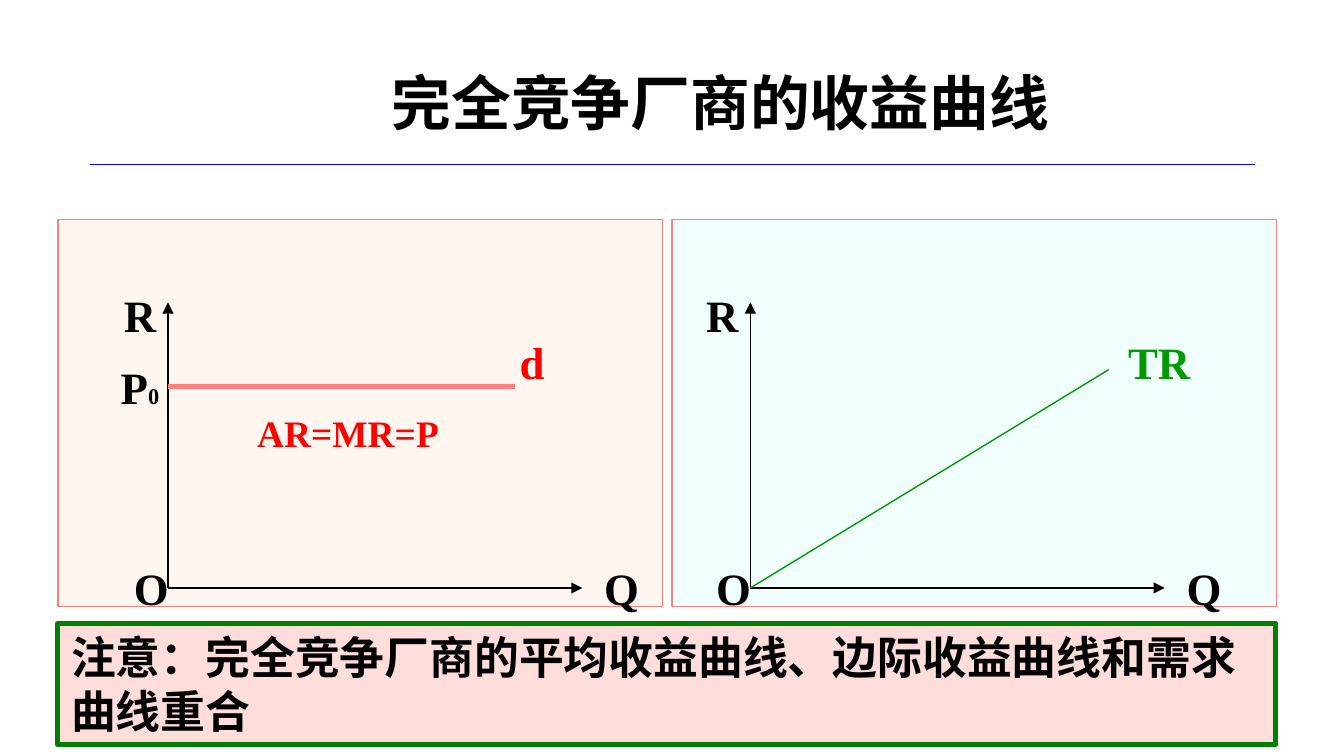
from typing import NamedTuple

from lxml.etree import SubElement
from pptx import Presentation
from pptx.dml.color import RGBColor
from pptx.enum.shapes import MSO_CONNECTOR, MSO_SHAPE
from pptx.enum.text import MSO_ANCHOR, MSO_AUTO_SIZE, PP_ALIGN
from pptx.oxml.ns import qn
from pptx.util import Pt

BLACK = RGBColor(0x00, 0x00, 0x00)
RED = RGBColor(0xFF, 0x00, 0x00)
PINK = RGBColor(0xFF, 0x7F, 0x7F)
GREEN = RGBColor(0x00, 0x99, 0x00)
DARK = RGBColor(0x00, 0x80, 0x00)
BLUE = RGBColor(0x00, 0x00, 0xFF)
CREAM = RGBColor(0xFF, 0xF7, 0xEF)
MINT = RGBColor(0xF0, 0xFE, 0xFD)
ROSE = RGBColor(0xFE, 0xDD, 0xDA)
SERIF = "Times New Roman"
HAN = "Noto Sans CJK SC"

BASE = 315   # height of both horizontal axes
TOP = 162    # tip of both vertical axes
REACH = 222  # length of both horizontal axes


class Run(NamedTuple):
    text: str
    size: float = 24
    color: RGBColor = BLACK
    font: str = SERIF


class Label(NamedTuple):
    x: float
    y: float
    runs: list[Run]
    w: float = 42
    h: float = 18


class Line(NamedTuple):
    x1: float
    y1: float
    x2: float
    y2: float
    color: RGBColor = BLACK
    width: float = 0.75
    arrow: bool = False


class Box(NamedTuple):
    x: float
    y: float
    w: float
    h: float
    fill: RGBColor
    edge: RGBColor = PINK
    width: float = 0.75


def add_runs(para, runs: list[Run]) -> None:
    for item in runs:
        run = para.add_run()
        run.text = item.text
        font = run.font
        font.size, font.bold, font.name = Pt(item.size), True, item.font
        font.color.rgb = item.color
        SubElement(font._element, qn("a:ea")).set("typeface", HAN)


def add_box(slide, box: Box):
    shape = slide.shapes.add_shape(
        MSO_SHAPE.RECTANGLE, Pt(box.x), Pt(box.y), Pt(box.w), Pt(box.h))
    shape.shadow.inherit = False
    shape.fill.solid()
    shape.fill.fore_color.rgb = box.fill
    shape.line.color.rgb = box.edge
    shape.line.width = Pt(box.width)
    return shape


def add_line(slide, line: Line) -> None:
    link = slide.shapes.add_connector(
        MSO_CONNECTOR.STRAIGHT,
        Pt(line.x1), Pt(line.y1), Pt(line.x2), Pt(line.y2))
    link.line.color.rgb = line.color
    link.line.width = Pt(line.width)
    if line.arrow:
        SubElement(link.line._get_or_add_ln(), qn("a:tailEnd")).set("type", "triangle")
    SubElement(link._element.spPr, qn("a:effectLst"))


def set_text(frame, runs: list[Run]) -> None:
    frame.word_wrap = False
    frame.auto_size = MSO_AUTO_SIZE.NONE
    frame.vertical_anchor = MSO_ANCHOR.MIDDLE
    para = frame.paragraphs[0]
    para.alignment = PP_ALIGN.CENTER
    add_runs(para, runs)


def add_label(slide, label: Label) -> None:
    box = slide.shapes.add_textbox(
        Pt(label.x), Pt(label.y), Pt(label.w), Pt(label.h))
    set_text(box.text_frame, label.runs)


def add_axes(slide, x: float) -> None:
    add_line(slide, Line(x, BASE, x, TOP, arrow=True))
    add_line(slide, Line(x, BASE, x + REACH, BASE, arrow=True))
    add_label(slide, Label(x - 30, 157.5, [Run("R")], 30, 22.5))
    add_label(slide, Label(x + REACH, BASE - 9, [Run("Q")]))
    add_label(slide, Label(x - 30, BASE - 9, [Run("O")]))


def main() -> None:
    deck = Presentation()
    deck.slide_width, deck.slide_height = Pt(720), Pt(405)
    slide = deck.slides.add_slide(deck.slide_layouts[5])

    # Title and rule
    title = slide.shapes.title
    title.left, title.top, title.width, title.height = Pt(196), Pt(41), Pt(380), Pt(27)
    set_text(title.text_frame, [Run("完全竞争厂商的收益曲线", 32, font=HAN)])
    add_line(slide, Line(48, 88, 672.5, 88, BLUE, 0.5))

    # Panels with their axes
    for left, fill, start in ((31, CREAM, 90), (360, MINT, 402)):
        add_box(slide, Box(left, 117.5, 324, 207.5, fill))
        add_axes(slide, start)

    # Demand curve
    add_line(slide, Line(90, 207, 276, 207, PINK, 3))
    add_label(slide, Label(54, 198, [Run("P"), Run("0", 12)]))
    add_label(slide, Label(264, 184.5, [Run("d", color=RED)]))
    add_label(slide, Label(138, 220.5, [Run("AR=MR=P", 20, RED)], 97, 22.5))

    # Total revenue curve
    add_line(slide, Line(402, BASE, 594, 198, GREEN))
    add_label(slide, Label(600, 184.5, [Run("TR", color=GREEN)]))

    # Note
    note = add_box(slide, Box(31, 334, 652.5, 65, ROSE, DARK, 2.75))
    frame = note.text_frame
    frame.word_wrap = True
    frame.auto_size = MSO_AUTO_SIZE.SHAPE_TO_FIT_TEXT
    frame.vertical_anchor = MSO_ANCHOR.TOP
    frame.paragraphs[0].alignment = PP_ALIGN.LEFT
    add_runs(frame.paragraphs[0],
             [Run("注意：完全竞争厂商的平均收益曲线、边际收益曲线和需求曲线重合")])

    deck.save("out.pptx")


if __name__ == "__main__":
    main()
